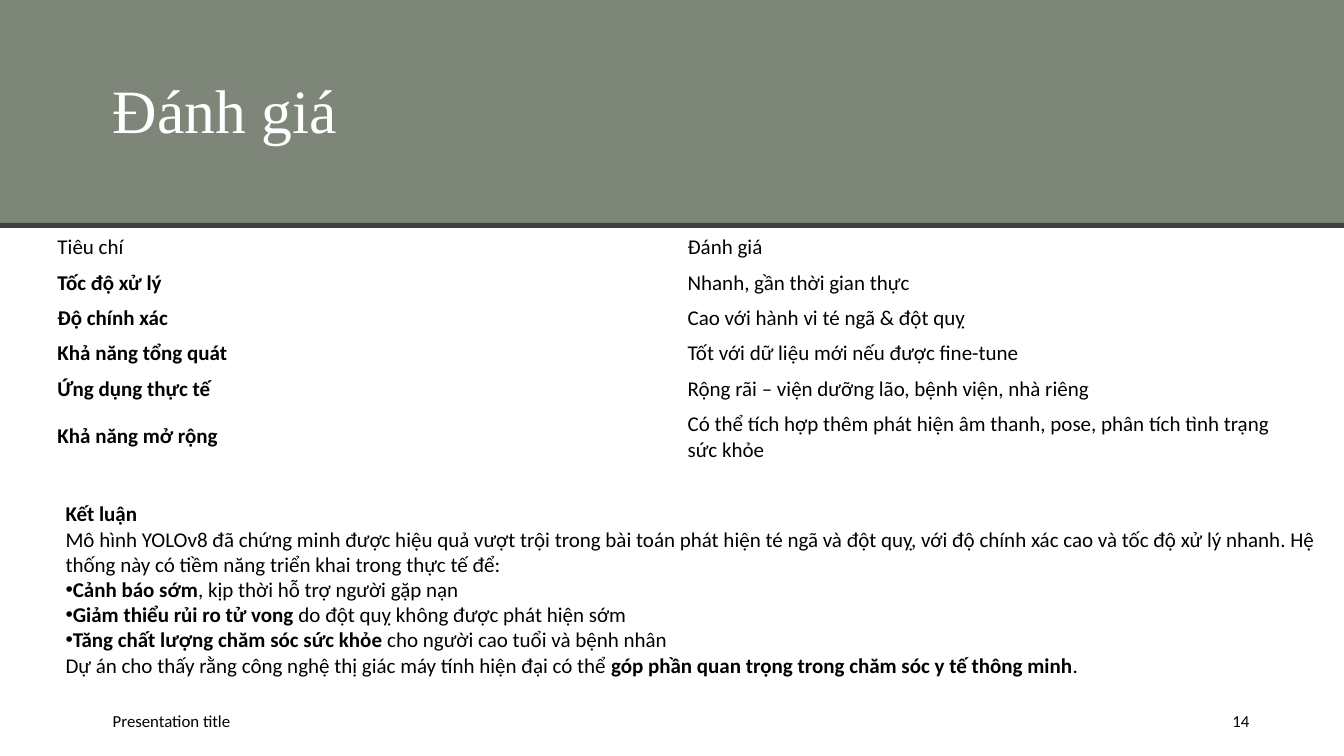
"""Build the evaluation slide with a criteria table and a conclusion."""
from lxml.etree import SubElement
from pptx import Presentation
from pptx.dml.color import RGBColor
from pptx.enum.shapes import MSO_SHAPE
from pptx.enum.text import MSO_ANCHOR, MSO_AUTO_SIZE, PP_ALIGN
from pptx.oxml.ns import qn
from pptx.util import Inches, Pt

TITLE = "Đánh giá"
BANDS = [
    (0, 2.24, "7E8679"),
    (2.21, 0.05, "3F433C"),
]
CRITERIA = [
    ("Tiêu chí", "Đánh giá"),
    ("Tốc độ xử lý", "Nhanh, gần thời gian thực"),
    ("Độ chính xác", "Cao với hành vi té ngã & đột quỵ"),
    ("Khả năng tổng quát", "Tốt với dữ liệu mới nếu được fine-tune"),
    ("Ứng dụng thực tế", "Rộng rãi – viện dưỡng lão, bệnh viện, nhà riêng"),
    ("Khả năng mở rộng",
     "Có thể tích hợp thêm phát hiện âm thanh, pose, phân tích tình trạng sức khỏe"),
]
CONCLUSION = [
    (False, [("Kết luận", True)]),
    (False, [("Mô hình YOLOv8 đã chứng minh được hiệu quả vượt trội trong bài toán phát hiện "
              "té ngã và đột quỵ, với độ chính xác cao và tốc độ xử lý nhanh. Hệ thống này "
              "có tiềm năng triển khai trong thực tế để:", False)]),
    (True, [("Cảnh báo sớm", True), (", kịp thời hỗ trợ người gặp nạn", False)]),
    (True, [("Giảm thiểu rủi ro tử vong", True),
            (" do đột quỵ không được phát hiện sớm", False)]),
    (True, [("Tăng chất lượng chăm sóc sức khỏe", True),
            (" cho người cao tuổi và bệnh nhân", False)]),
    (False, [("Dự án cho thấy rằng công nghệ thị giác máy tính hiện đại có thể ", False),
             ("góp phần quan trọng trong chăm sóc y tế thông minh", True), (".", False)]),
]
FOOTERS = [
    ("Presentation title", 1.02, 4.5, PP_ALIGN.LEFT),
    ("14", 11.63, 0.86, PP_ALIGN.RIGHT),
]
SLIDE_WIDTH = 13.33
ROW_HEIGHT = 0.35


def color(value):
    return RGBColor.from_string(value)


def style(font, size, bold=False, name="Calibri", fill="000000"):
    font.size = Pt(size)
    font.bold = bold
    font.name = name
    font.color.rgb = color(fill)


def place(shape, left, top, width, height):
    shape.left, shape.top = Inches(left), Inches(top)
    shape.width, shape.height = Inches(width), Inches(height)


def add_bands(slide):
    for top, height, fill in BANDS:
        band = slide.shapes.add_shape(
            MSO_SHAPE.RECTANGLE, 0, Inches(top), Inches(SLIDE_WIDTH), Inches(height))
        band.shadow.inherit = False
        band.fill.solid()
        band.fill.fore_color.rgb = color(fill)
        band.line.fill.background()
        slide.shapes.title._element.addprevious(band._element)


def fill_title(title):
    place(title, 1.02, 0.25, 10.42, 1.75)
    frame = title.text_frame
    frame.text = TITLE
    frame.vertical_anchor = MSO_ANCHOR.MIDDLE
    frame.auto_size = MSO_AUTO_SIZE.NONE
    para = frame.paragraphs[0]
    para.alignment = PP_ALIGN.LEFT
    para.line_spacing = 0.9
    style(para.runs[0].font, 44, name="Times New Roman", fill="FFFFFF")


def add_criteria(slide):
    table = slide.shapes.add_table(
        len(CRITERIA), 2, Inches(0.47), Inches(2.28), Inches(12.5),
        Inches(ROW_HEIGHT * len(CRITERIA))).table
    table.first_row = False
    table.horz_banding = False
    for row, texts in enumerate(CRITERIA):
        for column, text in enumerate(texts):
            cell = table.cell(row, column)
            cell.text = text
            cell.fill.background()
            cell.vertical_anchor = MSO_ANCHOR.MIDDLE
            style(cell.text_frame.paragraphs[0].runs[0].font, 15,
                  bold=row > 0 and column == 0)


def fill_conclusion(body):
    place(body, 0.55, 4.92, 12.78, 1.87)
    frame = body.text_frame
    frame.auto_size = MSO_AUTO_SIZE.NONE
    frame.vertical_anchor = MSO_ANCHOR.TOP
    for index, (bulleted, spans) in enumerate(CONCLUSION):
        para = frame.add_paragraph() if index else frame.paragraphs[0]
        para.space_before = Pt(0)
        para.line_spacing = 1.0
        properties = para._p.get_or_add_pPr()
        properties.set("marL", "0")
        properties.set("indent", "0")
        if bulleted:
            SubElement(properties, qn("a:buFont")).set("typeface", "Arial")
            SubElement(properties, qn("a:buChar")).set("char", "•")
        else:
            SubElement(properties, qn("a:buNone"))
        for text, bold in spans:
            span = para.add_run()
            span.text = text
            style(span.font, 15, bold)


def add_footers(slide):
    for text, left, width, alignment in FOOTERS:
        box = slide.shapes.add_textbox(
            Inches(left), Inches(6.95), Inches(width), Inches(0.4))
        frame = box.text_frame
        frame.word_wrap = True
        frame.vertical_anchor = MSO_ANCHOR.MIDDLE
        frame.text = text
        para = frame.paragraphs[0]
        para.alignment = alignment
        style(para.runs[0].font, 12)


def main():
    deck = Presentation()
    deck.slide_width, deck.slide_height = Inches(SLIDE_WIDTH), Inches(7.5)
    slide = deck.slides.add_slide(deck.slide_layouts[1])
    add_bands(slide)
    fill_title(slide.shapes.title)
    add_footers(slide)
    add_criteria(slide)
    fill_conclusion(slide.placeholders[1])
    deck.save("out.pptx")


if __name__ == "__main__":
    main()
